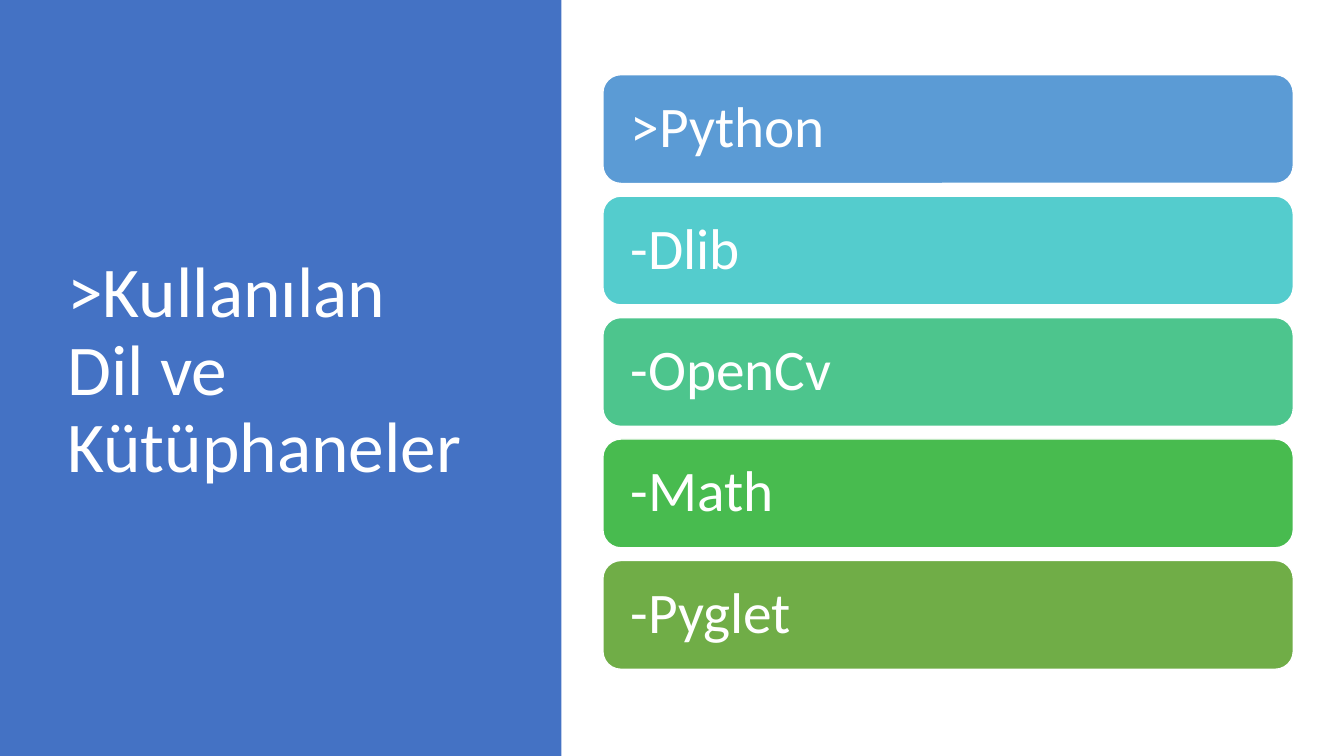
from pptx import Presentation
from pptx.dml.color import RGBColor
from pptx.enum.shapes import MSO_SHAPE
from pptx.enum.text import MSO_ANCHOR, PP_ALIGN
from pptx.util import Pt

RECTANGLE = MSO_SHAPE.RECTANGLE
ROUNDED = MSO_SHAPE.ROUNDED_RECTANGLE
MIDDLE = MSO_ANCHOR.MIDDLE
LEFT = PP_ALIGN.LEFT

COLORS = {
    "white": "FFFFFF",
    "panel": "4472C4",
    "python": "5B9BD5",
    "dlib": "54CCCD",
    "opencv": "4DC58D",
    "math": "48BB4F",
    "pyglet": "70AD47",
}
LIBRARIES = [
    (">Python", "python"),
    ("-Dlib", "dlib"),
    ("-OpenCv", "opencv"),
    ("-Math", "math"),
    ("-Pyglet", "pyglet"),
]


def color(name):
    """Return the named colour."""
    return RGBColor.from_string(COLORS[name])


def write(frame, text, size):
    """Write one white, left-aligned paragraph, centred vertically."""
    frame.word_wrap = True
    frame.vertical_anchor = MIDDLE
    paragraph = frame.paragraphs[0]
    paragraph.text = text
    paragraph.alignment = LEFT
    paragraph.line_spacing = 0.9
    paragraph.font.name = "Calibri"
    paragraph.font.size = Pt(size)
    paragraph.font.color.rgb = color("white")


def add_block(slide, outline, box, fill):
    """Add a filled shape without a shadow or line."""
    block = slide.shapes.add_shape(outline, *map(Pt, box))
    block.shadow.inherit = False
    block.fill.solid()
    block.fill.fore_color.rgb = color(fill)
    block.line.fill.background()
    return block


def add_title_panel(slide, left, top, width, height):
    """Add the blue side panel and the slide title."""
    add_block(slide, RECTANGLE, (left, top, width, height), "panel")
    title = slide.shapes.add_textbox(
        Pt(left + 41), Pt(top + 49), Pt(299.6), Pt(height - 106.6)
    )
    write(title.text_frame, ">Kullanılan Dil ve Kütüphaneler", 51)


def add_library_list(slide, left, top, width, height):
    """Stack one rounded bar per library, evenly spaced in the box."""
    gap = 9
    bar_height = (height - gap * (len(LIBRARIES) - 1)) / len(LIBRARIES)
    for index, (library, fill) in enumerate(LIBRARIES):
        bar_top = top + index * (bar_height + gap)
        bar = add_block(slide, ROUNDED, (left, bar_top, width, bar_height), fill)
        bar.line.color.rgb = color("white")
        bar.line.width = Pt(1)
        frame = bar.text_frame
        frame.margin_left = frame.margin_right = Pt(16)
        frame.margin_top = frame.margin_bottom = Pt(12)
        write(frame, library, 41)


def main():
    """Build and save the slide."""
    deck = Presentation()
    deck.slide_width, deck.slide_height = Pt(960), Pt(540)
    slide = deck.slides.add_slide(deck.slide_layouts[6])
    add_title_panel(slide, 0, 0, 401, 540)
    add_library_list(slide, 430.6, 53.3, 493.2, 424.8)
    deck.save("out.pptx")


if __name__ == "__main__":
    main()
